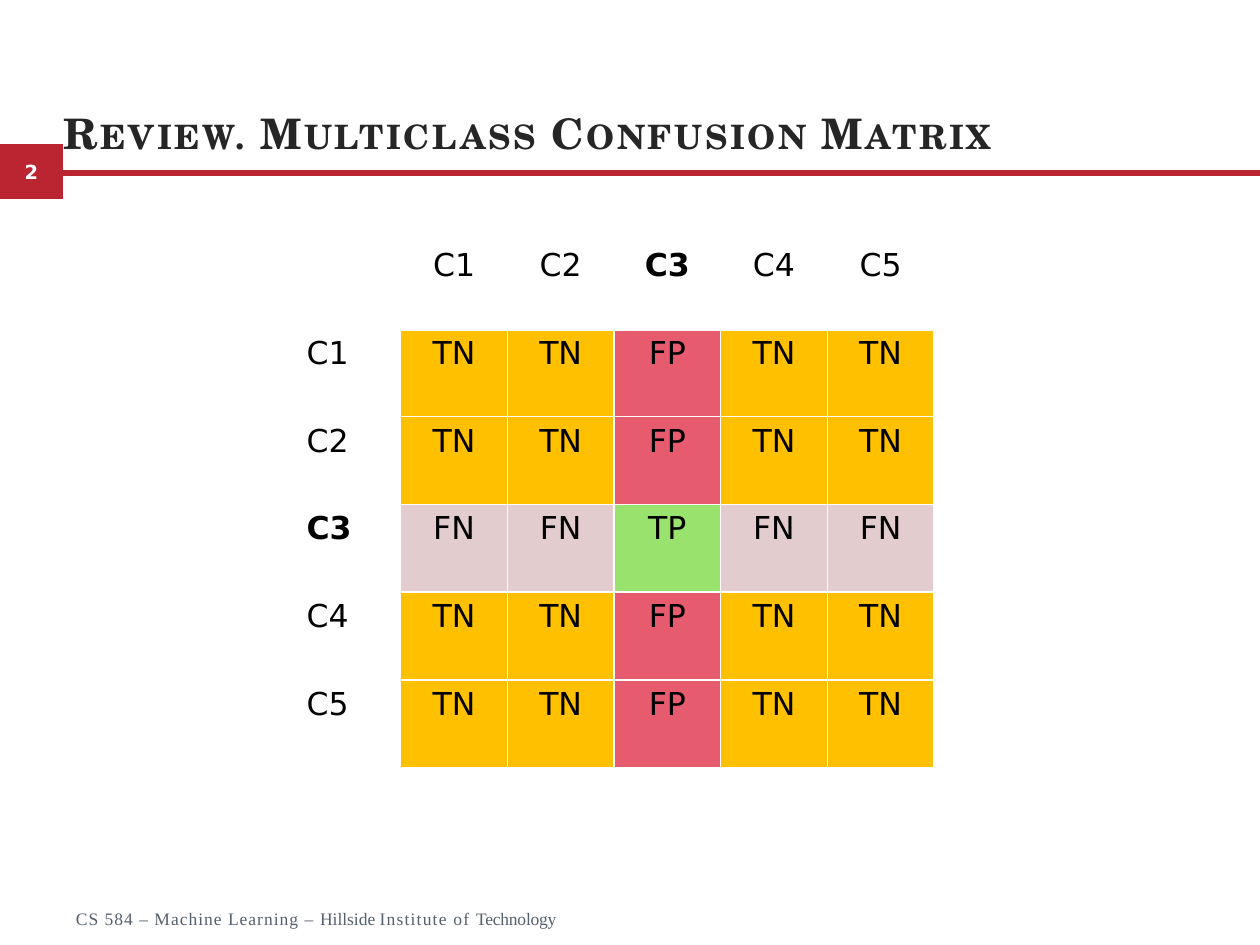
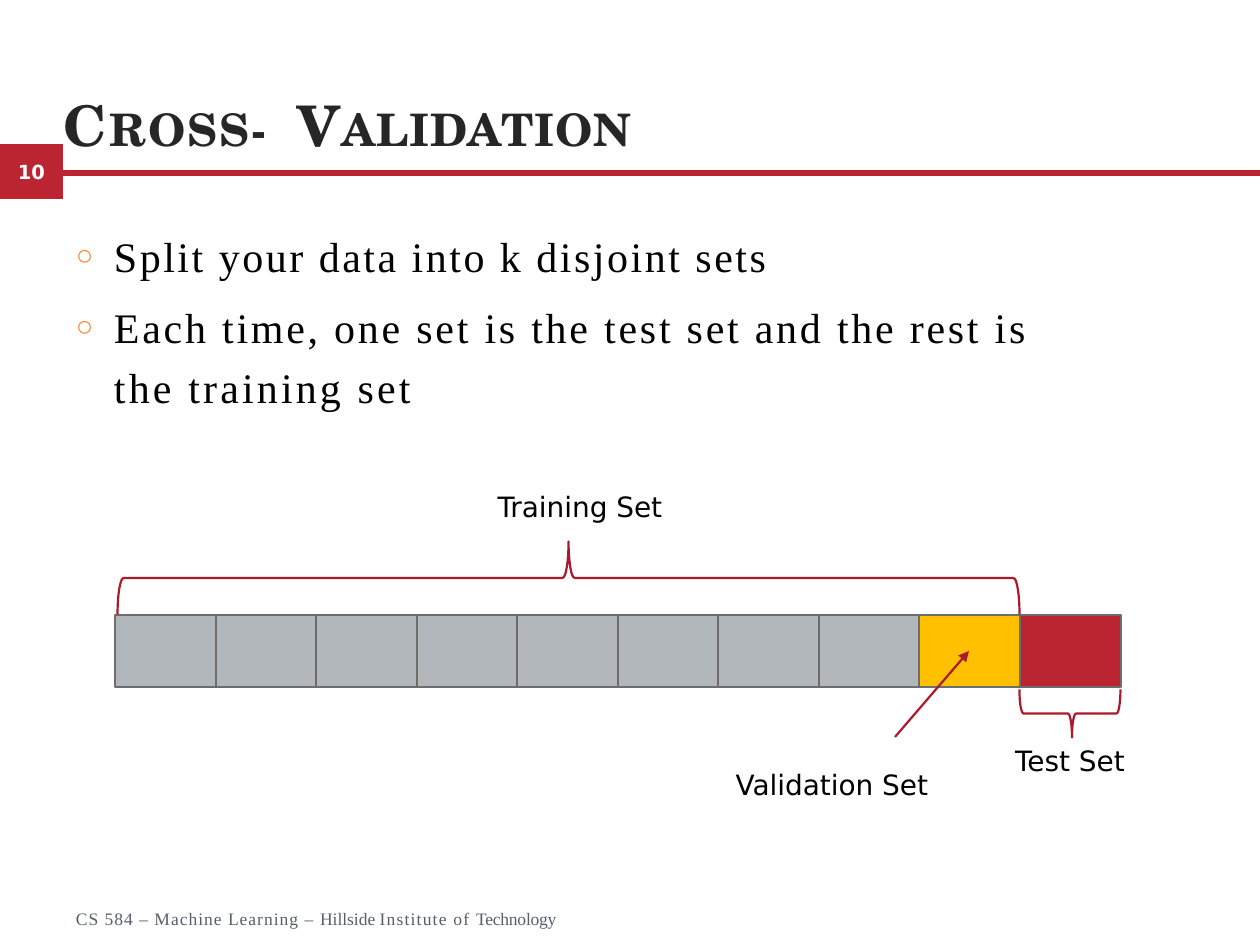
from lxml.etree import SubElement
from pptx import Presentation
from pptx.dml.color import RGBColor
from pptx.enum.shapes import MSO_CONNECTOR as Connector, MSO_SHAPE as Shape
from pptx.enum.text import MSO_ANCHOR as Anchor, MSO_AUTO_SIZE as AutoSize, PP_ALIGN as Align
from pptx.oxml import parse_xml
from pptx.oxml.ns import nsdecls, qn
from pptx.util import Pt

EMU_PER_PX = 914400 / 126

WHITE, BLACK = "FFFFFF", "000000"
RED, DARK_RED = "BB2532", "AB192D"
AMBER, SILVER, OUTLINE = "FFC000", "B2B7BB", "6D6D6D"
TITLE_GREY, FOOTER_GREY, BULLET_ORANGE = "262626", "565F6C", "FD8537"
OUTCOME_FILLS = {"TN": AMBER, "FP": "E75B6E", "FN": "E2CCCD", "TP": "9AE26E"}

SANS, SERIF, TITLE_FACE = "DejaVu Sans", "Times New Roman", "TeX Gyre Schola"

# Texts with varied letter spacing are lists of (text, spacing in points).
FOOTER = [("CS 584 – Machine Learning – ", 0.6), ("Hillside ", 0),
          ("Institute of ", 0.7), ("Technology", -0.1)]


def px(length):
    return round(length * EMU_PER_PX)


def frame(left, top, width, height):
    return px(left), px(top), px(width), px(height)


def rgb(hex_colour):
    return RGBColor.from_string(hex_colour)


def write(paragraph, parts, face, size, colour, bold=False, small_caps=False):
    """Fill a paragraph from a string or from (text, letter spacing) parts."""
    if isinstance(parts, str):
        parts = [(parts, 0)]
    for text, spacing in parts:
        run = paragraph.add_run()
        run.text = text
        run_properties = run._r.get_or_add_rPr()
        if spacing:
            run_properties.set("spc", str(round(spacing * 100)))
        if small_caps:
            run_properties.set("cap", "small")
    for font in (paragraph.font, *(run.font for run in paragraph.runs)):
        font.name, font.size, font.bold = face, Pt(size), bold
        font.color.rgb = rgb(colour)


def set_insets(text_frame, top=0):
    text_frame.margin_left = text_frame.margin_right = text_frame.margin_bottom = 0
    text_frame.margin_top = px(top)


def place(placeholder, left, top, width, height):
    placeholder.left, placeholder.top, placeholder.width, placeholder.height = frame(
        left, top, width, height)


def add_block(slide, left, top, width, height, fill, outline=None):
    block = slide.shapes.add_shape(Shape.RECTANGLE, *frame(left, top, width, height))
    block.shadow.inherit = False
    block.fill.solid()
    block.fill.fore_color.rgb = rgb(fill)
    if outline:
        block.line.color.rgb = rgb(outline)
        block.line.width = Pt(1)
    else:
        block.line.fill.background()
    return block


def add_band(slide, number):
    badge = add_block(slide, 0, 144, 63, 55, RED)
    badge.text_frame.vertical_anchor = Anchor.MIDDLE
    digits = badge.text_frame.paragraphs[0]
    digits.alignment = Align.CENTER
    write(digits, number, SANS, 11.1, WHITE, bold=True)
    add_block(slide, 63, 170, 1197, 6, RED)


def set_title(slide, parts, top, height, inset, size):
    title = slide.shapes.title
    place(title, 64, top, 1134, height)
    title_frame = title.text_frame
    set_insets(title_frame, inset)
    title_frame.vertical_anchor = Anchor.BOTTOM
    title_frame.auto_size = AutoSize.SHAPE_TO_FIT_TEXT
    heading = title_frame.paragraphs[0]
    heading.alignment = Align.LEFT
    heading.space_before = Pt(1)
    write(heading, parts, TITLE_FACE, size, TITLE_GREY, bold=True, small_caps=True)


def add_footer(slide):
    footer = slide.shapes.add_textbox(*frame(76, 908, 496, 25)).text_frame
    footer.word_wrap = True
    set_insets(footer)
    course = footer.paragraphs[0]
    course.space_before = Pt(0.8)
    write(course, FOOTER, SERIF, 10, FOOTER_GREY)


def add_base_slide(deck, layout, number, title, **title_style):
    slide = deck.slides.add_slide(deck.slide_layouts.get_by_name(layout))
    add_band(slide, number)
    set_title(slide, title, **title_style)
    add_footer(slide)
    return slide


def add_bullet_mark(paragraph):
    properties = paragraph._p.get_or_add_pPr()
    properties.set("marL", str(px(39)))
    properties.set("indent", str(px(-38)))
    colour = SubElement(properties, qn("a:buClr"))
    SubElement(colour, qn("a:srgbClr"), val=BULLET_ORANGE)
    SubElement(properties, qn("a:buSzPct"), val="69000")
    SubElement(properties, qn("a:buChar"), char="○")


def fill_bullets(body, items):
    """Items are (text parts, space before, line spacing)."""
    place(body, 75, 207, 961, 205)
    body_frame = body.text_frame
    set_insets(body_frame, 23)
    body_frame.auto_size = AutoSize.SHAPE_TO_FIT_TEXT
    for index, (parts, before, line_spacing) in enumerate(items):
        bullet = body_frame.add_paragraph() if index else body_frame.paragraphs[0]
        add_bullet_mark(bullet)
        bullet.space_before = Pt(before)
        bullet.line_spacing = line_spacing
        write(bullet, parts, SERIF, 24, BLACK)


def style_cell(cell, fill, bottom_width):
    properties = cell._tc.get_or_add_tcPr()
    for side, width in (("L", 1), ("R", 1), ("T", 1), ("B", bottom_width)):
        properties.append(parse_xml(
            f'<a:ln{side} {nsdecls("a")} w="{Pt(width)}"><a:solidFill>'
            f'<a:srgbClr val="{WHITE}"/></a:solidFill></a:ln{side}>'))
    cell.fill.solid()
    cell.fill.fore_color.rgb = rgb(fill)


def outcome(row, column, target):
    if row == target:
        return "TP" if column == target else "FN"
    return "FP" if column == target else "TN"


def add_confusion_matrix(slide, class_count, target):
    """Draw the matrix as seen from one target class; row and column 0 hold labels."""
    size = class_count + 1
    matrix = slide.shapes.add_table(size, size, *frame(294, 241, 640, 527)).table
    matrix.first_row = matrix.horz_banding = False
    for row in range(size):
        for column in range(size):
            is_label = row == 0 or column == 0
            label = f"C{row + column}" if row or column else ""
            text = label if is_label else outcome(row, column, target)
            cell = matrix.cell(row, column)
            style_cell(cell, OUTCOME_FILLS.get(text, WHITE), 1 if row else 3)
            if text:
                entry = cell.text_frame.paragraphs[0]
                entry.alignment = Align.CENTER if column else Align.LEFT
                write(entry, text, SANS, 18, BLACK, is_label and row + column == target)


def add_folds(slide, count):
    first_left, last_left = 115, 1020
    fills = [SILVER] * (count - 2) + [AMBER, RED]
    for index, fill in enumerate(fills):
        left = round(first_left + index * (last_left - first_left) / (count - 1))
        add_block(slide, left, 615, 101, 72, fill, OUTLINE)


def style_stroke(line):
    line.color.rgb = rgb(DARK_RED)
    line.width = Pt(1.25)


def add_brace(slide, left, top, width, height, rotation, tip=0.5):
    brace = slide.shapes.add_shape(Shape.LEFT_BRACE, *frame(left, top, width, height))
    brace.shadow.inherit = False
    brace.rotation = rotation
    brace.adjustments[0], brace.adjustments[1] = 0.083, tip
    brace.fill.background()
    style_stroke(brace.line)


def add_label(slide, text, centre, top):
    width = 252
    label = slide.shapes.add_textbox(*frame(centre - width // 2, top, width, 48)).text_frame
    label.word_wrap = True
    caption = label.paragraphs[0]
    caption.alignment = Align.CENTER
    write(caption, text, SANS, 16, BLACK)


def add_arrow(slide, start, end):
    arrow = slide.shapes.add_connector(Connector.STRAIGHT, *map(px, start + end))
    style_stroke(arrow.line)
    properties = arrow._element.spPr
    SubElement(properties.find(qn("a:ln")), qn("a:tailEnd"), type="triangle")
    SubElement(properties, qn("a:effectLst"))


def build_confusion_slide(deck):
    title = [("Review. Multiclass Confusion Matrix", 1.5)]
    slide = add_base_slide(deck, "Title Only", "2", title,
                           top=92, height=66, inset=15, size=24)
    add_confusion_matrix(slide, class_count=5, target=3)


def build_validation_slide(deck):
    title = [("Cross- ", 1.2), ("Validation", 0.6)]
    slide = add_base_slide(deck, "Title and Content", "10", title,
                           top=48, height=110, inset=1, size=32)
    fill_bullets(slide.placeholders[1], [
        ([("Split your data into k disjoint sets", 1.45)], 12.8, 1.0),
        ([("Each time, one set is the test set and the rest is ", 1.6),
          ("the training set", 1.8)], 6, 1.2),
    ])
    add_folds(slide, 10)
    add_brace(slide, 532, 127, 73, 902, rotation=90)
    add_brace(slide, 1046, 663, 48, 101, rotation=270, tip=0.52)
    add_label(slide, "Training Set", 580, 483)
    add_label(slide, "Test Set", 1070, 737)
    add_label(slide, "Validation Set", 832, 761)
    add_arrow(slide, (895, 737), (969, 651))


def main():
    deck = Presentation()
    deck.slide_width, deck.slide_height = px(1260), px(945)
    build_confusion_slide(deck)
    build_validation_slide(deck)
    deck.save("out.pptx")


if __name__ == "__main__":
    main()
